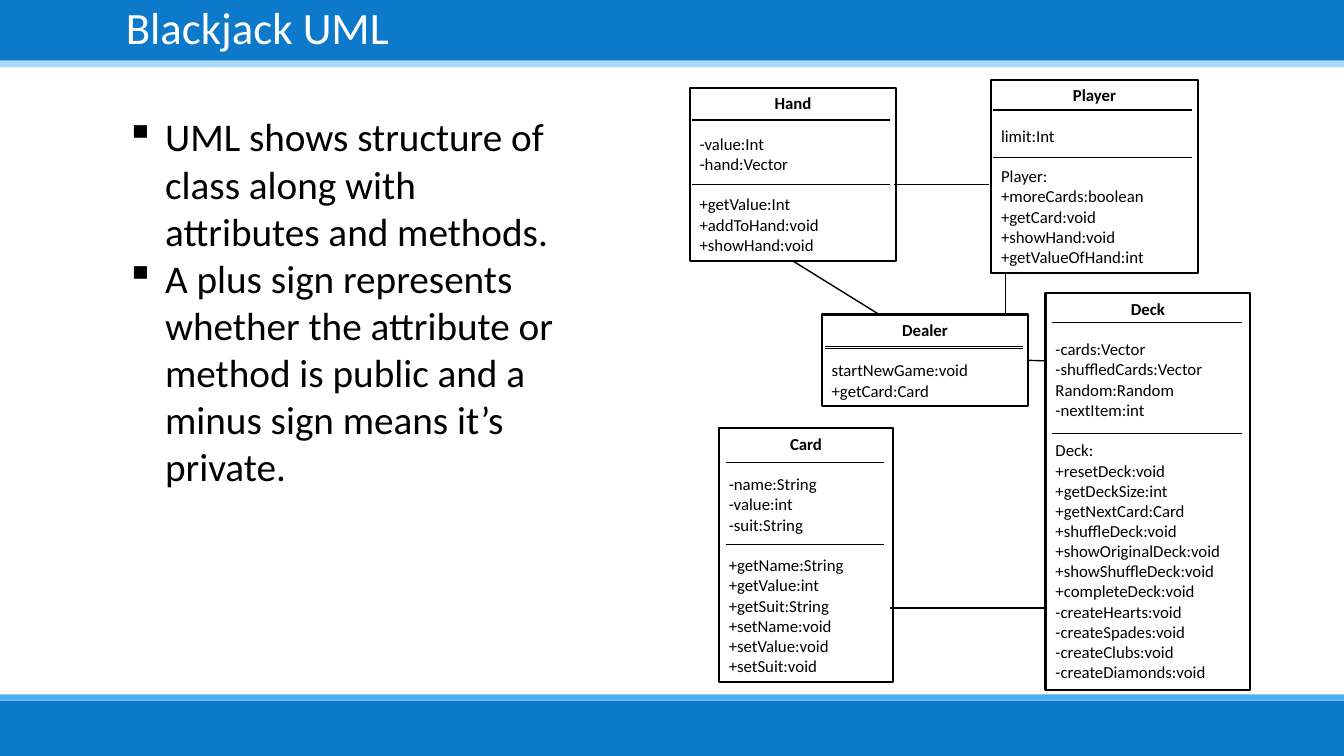
from pptx import Presentation, util as u
from pptx.dml.color import RGBColor
from pptx.enum import shapes, text
from pptx.oxml.xmlchemy import OxmlElement


class Deck:
    hues = {"ink": "000000", "paper": "FFFFFF", "blue": "0D79CA",
            "pale": "8CC9F7", "sky": "4FADF3"}
    face = "Calibri"
    line = u.Pt(14.65)

    def __init__(self, wide, high):
        self.show = Presentation()
        self.show.slide_width = u.Inches(wide)
        self.show.slide_height = u.Inches(high)
        self.slide = self.show.slides.add_slide(self.show.slide_layouts[6])

    def hue(self, name):
        return RGBColor.from_string(self.hues[name])

    def apply(self, item, form):
        for key, value in form.items():
            setattr(item, key, value)

    def label(self, par, words, size, hue="ink", bold=False):
        run = par.add_run()
        run.text = words
        self.apply(run.font, {"name": self.face, "size": u.Pt(size), "bold": bold})
        run.font.color.rgb = self.hue(hue)

    def rect(self, place):
        box = self.slide.shapes.add_shape(
            shapes.MSO_SHAPE.RECTANGLE, *map(u.Inches, place))
        box.shadow.inherit = False
        return box

    def band(self, place, hue, alpha=None):
        box = self.rect(place)
        box.fill.solid()
        box.fill.fore_color.rgb = self.hue(hue)
        box.line.fill.background()
        if alpha:
            fade = OxmlElement("a:alpha")
            fade.set("val", str(alpha * 1000))
            box._element.spPr.find(".//{*}srgbClr").append(fade)

    def field(self, place, **form):
        frame = self.slide.shapes.add_textbox(*map(u.Inches, place)).text_frame
        self.apply(frame, {"word_wrap": True, **form})
        return frame

    def title(self, place, words):
        frame = self.field(place, vertical_anchor=text.MSO_ANCHOR.MIDDLE)
        par = frame.paragraphs[0]
        par.line_spacing = 0.9
        self.label(par, words, 32, "paper")

    def points(self, place, items):
        frame = self.field(place)
        for n, words in enumerate(items):
            par = frame.add_paragraph() if n else frame.paragraphs[0]
            props = par._p.get_or_add_pPr()
            props.set("marL", str(u.Inches(0.39)))
            props.set("indent", str(u.Inches(-0.39)))
            mark = OxmlElement("a:buChar")
            mark.set("char", "▪")
            props.append(mark)
            self.label(par, words, 28)

    def link(self, x1, y1, x2, y2, start=None):
        wire = self.slide.shapes.add_connector(
            shapes.MSO_CONNECTOR.STRAIGHT, *map(u.Inches, (x1, y1, x2, y2)))
        wire.line.color.rgb = self.hue("ink")
        wire.line.width = u.Pt(1)
        wire._element.spPr.append(OxmlElement("a:effectLst"))
        if start:
            wire.begin_connect(*start)

    def model(self, place, name, parts):
        box = self.rect(place)
        box.fill.background()
        box.line.color.rgb = self.hue("ink")
        box.line.width = u.Pt(1.5)
        frame = box.text_frame
        self.apply(frame, {"word_wrap": True,
                           "vertical_anchor": text.MSO_ANCHOR.TOP})
        head = frame.paragraphs[0]
        head.alignment = text.PP_ALIGN.CENTER
        self.label(head, name, 12, bold=True)
        for part in parts:
            for n, words in enumerate(part.split()):
                par = frame.add_paragraph()
                par.alignment = text.PP_ALIGN.LEFT
                if n == 0:
                    par.space_before = self.line
                self.label(par, words, 12)
        return box


BANDS = [
    ((0, 0, 13.33, 0.67), "pale", 70),
    ((0, 0, 13.33, 0.6), "blue", None),
    ((-0.01, 6.89, 13.35, 0.06), "sky", None),
    ((0, 6.95, 13.33, 0.55), "blue", None),
]
POINTS = [
    "UML shows structure of class along with attributes and methods.",
    "A plus sign represents whether the attribute or method is public "
    "and a minus sign means it’s private.",
]
MODELS = {
    "Hand": ((6.84, 0.87, 2.05, 1.72), [
        "-value:Int -hand:Vector",
        "+getValue:Int +addToHand:void +showHand:void"]),
    "Player": ((9.83, 0.79, 2.05, 1.92), [
        "limit:Int",
        "Player: +moreCards:boolean +getCard:void +showHand:void "
        "+getValueOfHand:int"]),
    "Dealer": ((8.15, 3.12, 2.05, 0.91), [
        "startNewGame:void +getCard:Card"]),
    "Card": ((7.13, 4.25, 1.73, 2.52), [
        "-name:String -value:int -suit:String",
        "+getName:String +getValue:int +getSuit:String +setName:void "
        "+setValue:void +setSuit:void"]),
    "Deck": ((10.37, 2.91, 2.03, 3.94), [
        "-cards:Vector -shuffledCards:Vector Random:Random -nextItem:int",
        "Deck: +resetDeck:void +getDeckSize:int +getNextCard:Card "
        "+shuffleDeck:void +showOriginalDeck:void +showShuffleDeck:void "
        "+completeDeck:void -createHearts:void -createSpades:void "
        "-createClubs:void -createDiamonds:void"]),
}
RULES = [
    (6.86, 8.83, (1.19, 1.83)),
    (9.85, 11.82, (1.09, 1.56)),
    (8.18, 10.15, (3.44, 3.46)),
    (10.43, 12.32, (3.2, 4.3)),
    (7.2, 8.77, (4.59, 5.4)),
]
LINKS = [
    (8.83, 6.03, 10.37, 6.03, None),
    (7.86, 2.59, 8.72, 3.12, ("Hand", 2)),
    (9.97, 2.71, 9.97, 3.12, None),
    (9.81, 1.83, 8.87, 1.83, None),
    (10.19, 3.58, 10.37, 3.58, ("Dealer", 3)),
]


def main():
    deck = Deck(13.33, 7.5)
    for band in BANDS:
        deck.band(*band)
    deck.points((1.15, 1.07, 4.64, 3.87), POINTS)
    deck.title((1.15, 0, 11.02, 0.6), "Blackjack UML")
    boxes = {name: deck.model(place, name, parts)
             for name, (place, parts) in MODELS.items()}
    for left, right, rows in RULES:
        for y in rows:
            deck.link(left, y, right, y)
    for *ends, start in LINKS:
        deck.link(*ends, start and (boxes[start[0]], start[1]))
    deck.show.save("out.pptx")


if __name__ == "__main__":
    main()
